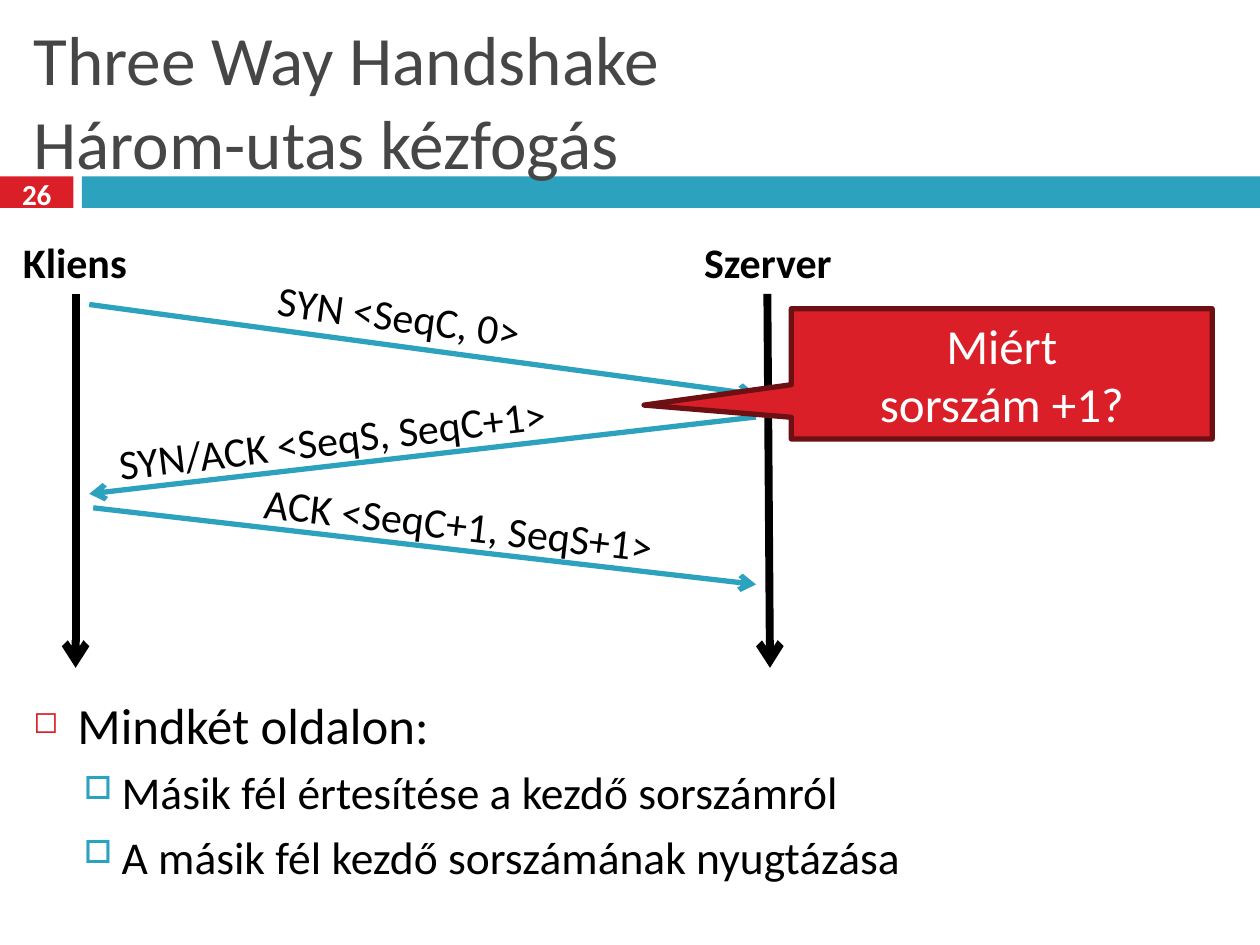
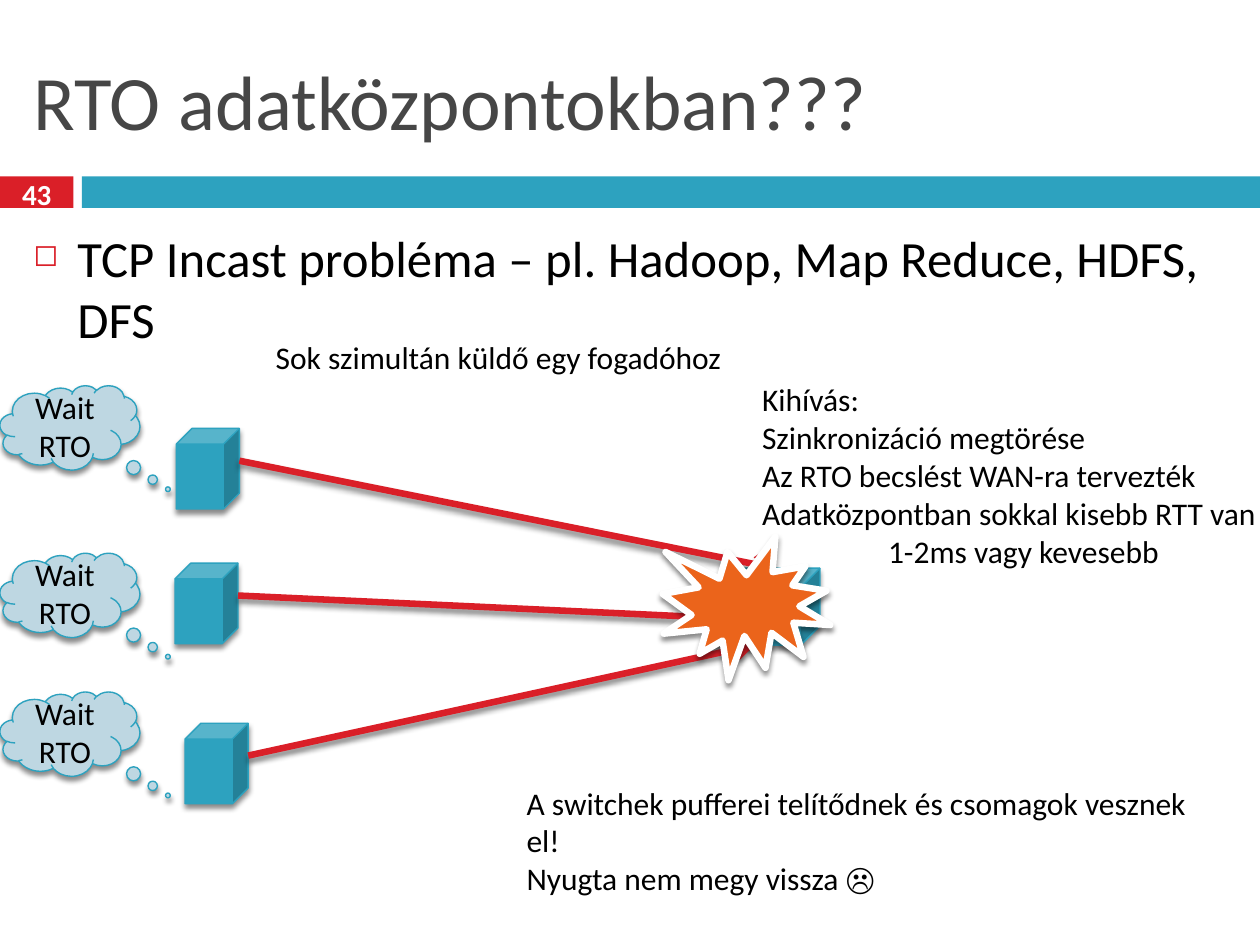
from dataclasses import dataclass
from typing import Any, NamedTuple, Optional

from lxml.etree import SubElement
from pptx import Presentation
from pptx.dml.color import RGBColor
from pptx.enum.shapes import MSO_CONNECTOR, MSO_SHAPE
from pptx.enum.text import MSO_ANCHOR, PP_ALIGN
from pptx.oxml.ns import qn
from pptx.util import Pt

FONT = "Calibri"
RED, TEAL, ORANGE = "DA1F28", "2DA2BF", "EB641B"
DARK_RED, PALE_BLUE, GRAY = "6D1014", "BED7E2", "464646"
BLACK, WHITE = "000000", "FFFFFF"


class Box(NamedTuple):
    left: float
    top: float
    width: float
    height: float


class Point(NamedTuple):
    x: float
    y: float


class Bullet(NamedTuple):
    character: str
    color: str
    percent: int
    margin: float
    hanging: float
    space_before: float
    size: float


@dataclass
class TextStyle:
    size: float
    color: str = BLACK
    bold: bool = False
    align: Any = PP_ALIGN.LEFT
    anchor: Any = MSO_ANCHOR.TOP
    wrap: bool = True


@dataclass
class ShapeStyle:
    fill: str
    line: Optional[str] = None
    line_width: float = 0.79
    shadow: bool = False


@dataclass
class Message:
    text: str
    start: Point
    end: Point
    label: Box
    rotation: float


@dataclass
class Sender:
    cube: Point
    cloud_top: float
    target: Point


BULLETS = (
    Bullet("◻", RED, 60, 25.2, 25.2, 7, 29),
    Bullet("□", TEAL, 70, 50.4, 21.6, 5.5, 26),
)
NOTE = TextStyle(18)
CUBE = ShapeStyle(TEAL, TEAL, shadow=True)
CLOUD = ShapeStyle(PALE_BLUE, TEAL, shadow=True)


def rgb(color: str) -> RGBColor:
    return RGBColor.from_string(color)


def apply_format(target: Any, values: dict) -> None:
    for name, value in values.items():
        setattr(target, name, value)


def format_font(font: Any, style: TextStyle) -> None:
    apply_format(font, {"name": FONT, "size": Pt(style.size), "bold": style.bold})
    font.color.rgb = rgb(style.color)


def fill_text(shape: Any, lines: list[str], style: TextStyle) -> None:
    frame = shape.text_frame
    apply_format(frame, {"word_wrap": style.wrap, "vertical_anchor": style.anchor})
    frame.text = "\n".join(lines)
    for paragraph in frame.paragraphs:
        paragraph.alignment = style.align
        for run in paragraph.runs:
            format_font(run.font, style)


def add_text(slide: Any, box: Box, lines: list[str], style: TextStyle,
             rotation: float = 0) -> Any:
    shape = slide.shapes.add_textbox(*map(Pt, box))
    shape.rotation = rotation
    fill_text(shape, lines, style)
    return shape


def set_effects(properties: Any, shadow: bool) -> None:
    """Replace the theme effect with a soft drop shadow or with none."""
    effects = properties.find(qn("a:effectLst"))
    if effects is None:
        effects = SubElement(properties, qn("a:effectLst"))
    if shadow:
        outer = SubElement(effects, qn("a:outerShdw"), blurRad=str(Pt(3)),
                           dist=str(Pt(2.4)), dir="5400000", rotWithShape="0")
        color = SubElement(outer, qn("a:srgbClr"), val=BLACK)
        SubElement(color, qn("a:alpha"), val="45000")


def add_shape(slide: Any, kind: Any, box: Box, style: ShapeStyle,
              adjustments: tuple = ()) -> Any:
    shape = slide.shapes.add_shape(kind, *map(Pt, box))
    for index, value in enumerate(adjustments):
        shape.adjustments[index] = value
    shape.fill.solid()
    shape.fill.fore_color.rgb = rgb(style.fill)
    if style.line:
        shape.line.color.rgb = rgb(style.line)
        shape.line.width = Pt(style.line_width)
    else:
        shape.line.fill.background()
    shape.shadow.inherit = False
    set_effects(shape._element.spPr, style.shadow)
    return shape


def add_arrow(slide: Any, start: Point, end: Point, color: str, width: float,
              shadow: bool = False) -> None:
    connector = slide.shapes.add_connector(
        MSO_CONNECTOR.STRAIGHT, *map(Pt, (*start, *end)))
    connector.line.color.rgb = rgb(color)
    connector.line.width = Pt(width)
    properties = connector._element.spPr
    SubElement(properties.find(qn("a:ln")), qn("a:tailEnd"), type="arrow")
    set_effects(properties, shadow)


def add_bullets(slide: Any, box: Box, items: list[tuple[int, str]]) -> None:
    frame = slide.shapes.add_textbox(*map(Pt, box)).text_frame
    frame.word_wrap = True
    frame.text = "\n".join(text for _, text in items)
    for index, (level, _) in enumerate(items):
        paragraph, bullet = frame.paragraphs[index], BULLETS[level]
        properties = paragraph._p.get_or_add_pPr()
        properties.set("marL", str(Pt(bullet.margin)))
        properties.set("indent", str(-Pt(bullet.hanging)))
        color = SubElement(properties, qn("a:buClr"))
        SubElement(color, qn("a:srgbClr"), val=bullet.color)
        SubElement(properties, qn("a:buSzPct"), val=str(bullet.percent * 1000))
        SubElement(properties, qn("a:buChar"), char=bullet.character)
        paragraph.level = level
        if index:
            paragraph.space_before = Pt(bullet.space_before)
        format_font(paragraph.runs[0].font, TextStyle(bullet.size))


def add_base_slide(presentation: Any, title: str, title_size: float,
                   number: str) -> Any:
    """Blank slide with bands, title and slide number."""
    slide = presentation.slides.add_slide(presentation.slide_layouts[6])
    for box, color in ((Box(0, 100.8, 42, 18), RED),
                       (Box(46.8, 100.8, 673.2, 18), TEAL)):
        add_shape(slide, MSO_SHAPE.RECTANGLE, box, ShapeStyle(color))
    add_text(slide, Box(12, 18, 696, 78), [title],
             TextStyle(title_size, GRAY, anchor=MSO_ANCHOR.MIDDLE))
    add_text(slide, Box(0, 98.6, 42, 24), [number],
             TextStyle(16.6, WHITE, True, PP_ALIGN.CENTER, MSO_ANCHOR.MIDDLE))
    return slide


def build_handshake(presentation: Any) -> None:
    slide = add_base_slide(
        presentation, "Three Way Handshake\vHárom-utas kézfogás", 39.6, "26")
    add_bullets(slide, Box(12, 393, 696, 135.4), [
        (0, "Mindkét oldalon:"),
        (1, "Másik fél értesítése a kezdő sorszámról"),
        (1, "A másik fél kezdő sorszámának nyugtázása"),
    ])

    # Time lines of the two hosts
    host_style = TextStyle(24, bold=True, align=PP_ALIGN.CENTER, wrap=False)
    for name, label_left, label_width, top_x, bottom_x in (
            ("Kliens", 4.3, 77, 43.2, 43.2),
            ("Szerver", 393.8, 90, 438.5, 440)):
        add_arrow(slide, Point(top_x, 168), Point(bottom_x, 381.6), BLACK, 4.5)
        add_text(slide, Box(label_left, 131.8, label_width, 36), [name], host_style)

    # Messages between the hosts
    for message in (
            Message("SYN <SeqC, 0>", Point(51, 174), Point(432, 225.4),
                    Box(151.2, 164.9, 193.7, 36), 7.6),
            Message("SYN/ACK <SeqS, SeqC+1>", Point(432, 238.3), Point(51, 282.2),
                    Box(59.8, 229, 316.8, 36), 353.1),
            Message("ACK <SeqC+1, SeqS+1>", Point(53.3, 290.2), Point(432, 334),
                    Box(143.3, 284.4, 288, 36), 6.6)):
        add_arrow(slide, message.start, message.end, TEAL, 3)
        add_text(slide, message.label, [message.text], TextStyle(24), message.rotation)

    # Question about the acknowledgement number
    callout = add_shape(slide, MSO_SHAPE.RECTANGULAR_CALLOUT,
                        Box(452.2, 176.4, 240.5, 74.5),
                        ShapeStyle(RED, DARK_RED, 3), (-0.85, 0.24))
    fill_text(callout, ["Miért", "sorszám +1?"],
              TextStyle(28, WHITE, align=PP_ALIGN.CENTER, anchor=MSO_ANCHOR.MIDDLE))


def build_incast(presentation: Any) -> None:
    slide = add_base_slide(presentation, "RTO adatközpontokban???", 44, "43")
    add_bullets(slide, Box(12, 126, 696, 402), [
        (0, "TCP Incast probléma – pl. Hadoop, Map Reduce, HDFS, DFS")])

    # Servers: many senders and one receiver
    cube_width, cube_height = 36, 46
    side_middle = (cube_height - cube_width / 4) / 2
    senders = (
        Sender(Point(100.8, 244.8), 220.3, Point(442.8, 324.7)),
        Sender(Point(100, 321.8), 316, Point(404.6, 352.8)),
        Sender(Point(105.8, 413.3), 395.3, Point(431.3, 368.6)),
    )
    add_shape(slide, MSO_SHAPE.CUBE, Box(404.6, 324.7, 64, 44), CUBE)
    for sender in senders:
        left, top = sender.cube
        add_shape(slide, MSO_SHAPE.CUBE,
                  Box(left, top, cube_width, cube_height), CUBE)
        add_arrow(slide, Point(left + cube_width, top + side_middle),
                  sender.target, RED, 3.75, shadow=True)

    # Collision at the receiver
    add_shape(slide, MSO_SHAPE.EXPLOSION1, Box(378.7, 306.7, 95.8, 82),
              ShapeStyle(ORANGE, WHITE, 3.75, True))

    # Waiting senders
    for sender in senders:
        cloud = add_shape(slide, MSO_SHAPE.CLOUD_CALLOUT,
                          Box(0, sender.cloud_top, 80, 48.2), CLOUD, (0.7, 0.73))
        fill_text(cloud, ["Wait RTO"], TextStyle(
            18, align=PP_ALIGN.CENTER, anchor=MSO_ANCHOR.MIDDLE))

    # Notes
    add_text(slide, Box(150.5, 189.4, 271.4, 51),
             ["Sok szimultán küldő egy fogadóhoz"], NOTE)
    add_text(slide, Box(293.8, 444.2, 408, 51), [
        "A switchek pufferei telítődnek és csomagok vesznek el!",
        "Nyugta nem megy vissza ☹"], NOTE)
    challenge = add_text(slide, Box(428.4, 213.8, 414.7, 116.6), [
        "Kihívás:",
        "Szinkronizáció megtörése",
        "Az RTO becslést WAN-ra tervezték",
        "Adatközpontban sokkal kisebb RTT van",
        "1-2ms vagy kevesebb"], NOTE)
    last_paragraph = challenge.text_frame.paragraphs[-1]
    last_paragraph._p.get_or_add_pPr().set("marL", str(Pt(72)))


def main() -> None:
    presentation = Presentation()
    apply_format(presentation, {"slide_width": Pt(720), "slide_height": Pt(540)})
    build_handshake(presentation)
    build_incast(presentation)
    presentation.save("out.pptx")


if __name__ == "__main__":
    main()
